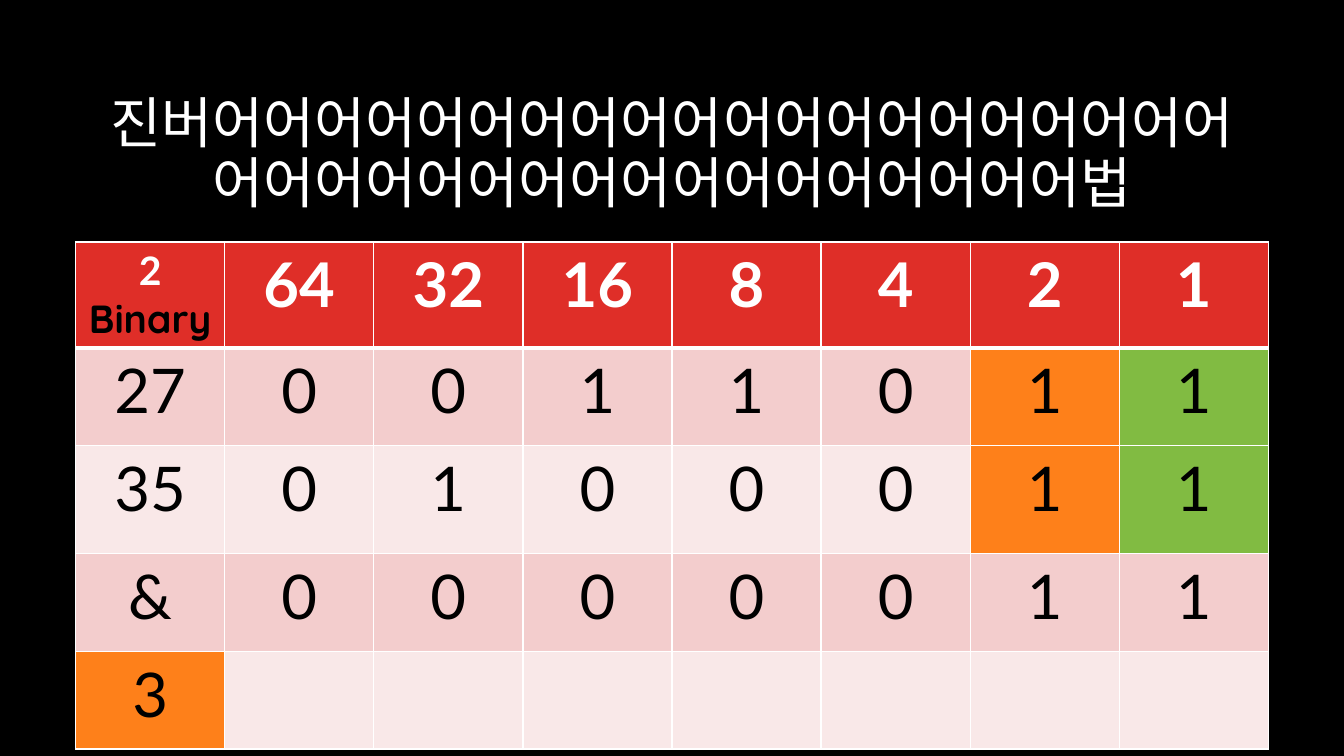
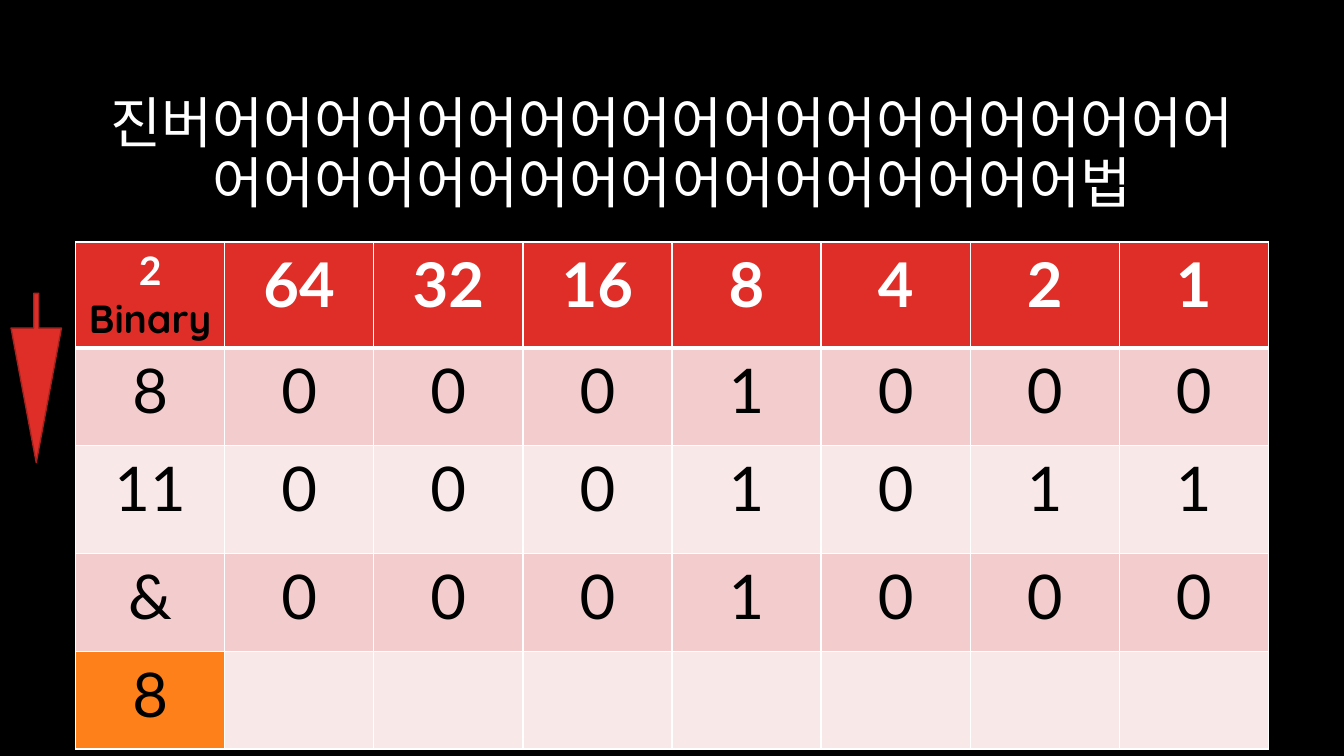
from lxml import etree
from pptx import Presentation, util as u
from pptx.dml.color import RGBColor
from pptx.enum import shapes, text
from pptx.oxml.ns import qn

BLACK = RGBColor(0x00, 0x00, 0x00)
WHITE = RGBColor(0xFF, 0xFF, 0xFF)
RED = RGBColor(0xDF, 0x2E, 0x28)
DARK_RED = RGBColor(0xA5, 0x22, 0x1E)
ROSE = RGBColor(0xF3, 0xCD, 0xCD)
PALE_ROSE = RGBColor(0xF9, 0xE8, 0xE8)
ORANGE = RGBColor(0xFE, 0x80, 0x1A)
GREEN = RGBColor(0x81, 0xBB, 0x42)

WIDTH, HEIGHT = u.Inches(13.33), u.Inches(7.5)
MARGIN = u.Inches(0.75)
CONTENT_WIDTH = WIDTH - 2 * MARGIN
TABLE_TOP = int(HEIGHT * 0.32)
ROW_HEIGHTS = [0.97, 0.97, 1.07, 0.97, 0.97]
BITS = 7
COLUMNS = BITS + 1

TITLE = "진버" + "어" * 37 + "법"
TITLE_FONT = {"name": "Lato", "size": u.Pt(39.6)}
HEADER_FONT = {"name": "Lato", "size": u.Pt(44), "bold": True}
CORNER_FONT = {"name": "Lato", "size": u.Pt(28), "bold": True}
BINARY_FONT = {"name": "Quicksand", "size": u.Pt(28), "bold": True}
BODY_FONT = {"name": "Lato", "size": u.Pt(44), "bold": False}


def write(paragraph, words, font, color):
    paragraph.text = words
    paragraph.alignment = text.PP_ALIGN.CENTER
    for name, value in font.items():
        setattr(paragraph.font, name, value)
    paragraph.font.color.rgb = color


def paint_cell(cell, fill, top, bottom):
    properties = cell._tc.get_or_add_tcPr()
    for side, points in {"lnL": 1, "lnR": 1, "lnT": top, "lnB": bottom}.items():
        border = etree.SubElement(properties, qn(f"a:{side}"), w=str(u.Pt(points)))
        solid = etree.SubElement(border, qn("a:solidFill"))
        etree.SubElement(solid, qn("a:srgbClr"), val=str(WHITE))
    cell.fill.solid()
    cell.fill.fore_color.rgb = fill


presentation = Presentation()
presentation.slide_width, presentation.slide_height = WIDTH, HEIGHT
background = presentation.slide_master.background.fill
background.solid()
background.fore_color.rgb = BLACK
title_only = presentation.slide_layouts[5]

marked_bits = {(row, column): color
               for row in (1, 2)
               for column, color in ((BITS - 1, ORANGE), (BITS, GREEN))}
examples = [(27, 35, marked_bits), (8, 11, {})]

for first, second, marks in examples:
    slide = presentation.slides.add_slide(title_only)
    title = slide.shapes.title
    title.left, title.top = MARGIN, u.Inches(0.84)
    title.width, title.height = CONTENT_WIDTH, u.Inches(1.41)
    title.text_frame.word_wrap = True
    title.text_frame.auto_size = text.MSO_AUTO_SIZE.NONE
    title.text_frame.vertical_anchor = text.MSO_ANCHOR.MIDDLE
    write(title.text_frame.paragraphs[0], TITLE, TITLE_FONT, WHITE)
    title.text_frame.paragraphs[0].line_spacing = 0.9

    result = first & second
    rows = [["2"] + [str(2 ** power) for power in reversed(range(BITS))]]
    for label, number in ((first, first), (second, second), ("&", result)):
        rows.append([str(label), *f"{number:0{BITS}b}"])
    rows.append([str(result)] + [""] * BITS)
    fills = {(len(rows) - 1, 0): ORANGE, **marks}

    table = slide.shapes.add_table(len(rows), COLUMNS, MARGIN, TABLE_TOP, CONTENT_WIDTH,
                                   u.Inches(sum(ROW_HEIGHTS))).table
    table.first_row = table.horz_banding = False
    for column in table.columns:
        column.width = CONTENT_WIDTH // COLUMNS
    for row_index, (values, height) in enumerate(zip(rows, ROW_HEIGHTS)):
        table.rows[row_index].height = u.Inches(height)
        header = row_index == 0
        row_fill = RED if header else ROSE if row_index % 2 else PALE_ROSE
        for column_index, value in enumerate(values):
            cell = table.cell(row_index, column_index)
            paint_cell(cell, fills.get((row_index, column_index), row_fill),
                       3 if row_index == 1 else 1, 3 if header else 1)
            if value:
                write(cell.text_frame.paragraphs[0], value,
                      HEADER_FONT if header else BODY_FONT, WHITE if header else BLACK)
    corner = table.cell(0, 0).text_frame
    write(corner.paragraphs[0], "2", CORNER_FONT, WHITE)
    write(corner.add_paragraph(), "Binary", BINARY_FONT, BLACK)

arrow = slide.shapes.add_shape(shapes.MSO_SHAPE.DOWN_ARROW, u.Inches(0.11), u.Inches(2.91),
                               u.Inches(0.5), u.Inches(1.68))
arrow.adjustments[0], arrow.adjustments[1] = 0.1, 2.67
arrow.shadow.inherit = False
arrow.fill.solid()
arrow.fill.fore_color.rgb = RED
arrow.line.color.rgb = DARK_RED
arrow.line.width = u.Pt(1)

presentation.save("out.pptx")
